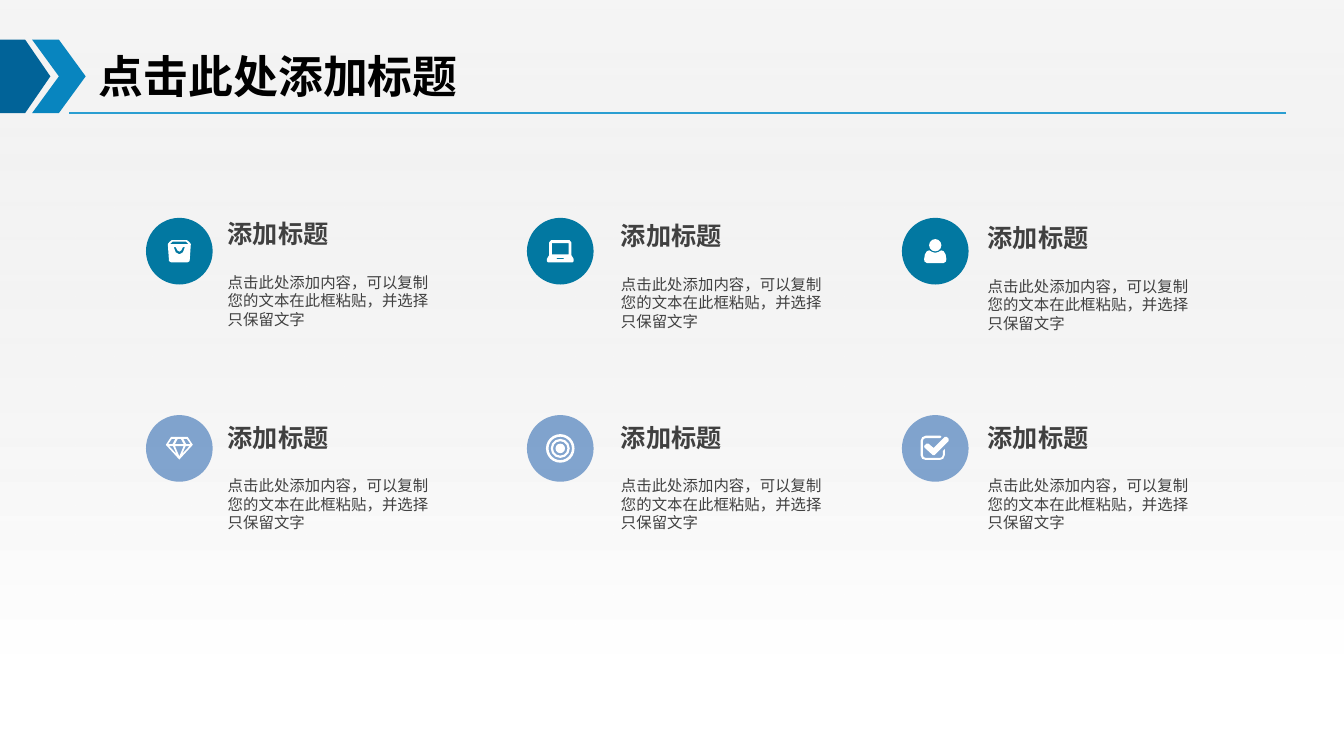
from lxml import etree
from pptx import Presentation
from pptx.dml.color import RGBColor
from pptx.enum.shapes import MSO_CONNECTOR, MSO_SHAPE
from pptx.enum.text import MSO_ANCHOR, MSO_AUTO_SIZE, PP_ALIGN
from pptx.oxml.ns import qn
from pptx.util import Cm, Pt

FONT = "Noto Sans CJK SC"
COLORS = {
    "haze": "D9D9D9", "white": "FFFFFF", "rule": "2A9ED1", "plate": "016398",
    "chevron": "0885BF", "teal": "0278A1", "blue": "4F81BD",
    "text": "404040", "title": "000000",
}
HEADING = "添加标题"
DETAIL = "点击此处添加内容，可以复制您的文本在此框粘贴，并选择只保留文字"
DISC = Cm(1.68)

BAG = [
    [(-29, -18), (-25, -23), (-19, -28), (19, -28), (25, -23), (29, -18),
     (26, 25), (21, 28), (-21, 28), (-26, 25)],
    [(-23, -18), (-17, -24), (17, -24), (23, -18)],
    [(-14, -10), (-9, -10), (-5, -2), (0, 1), (5, -2), (9, -10), (14, -10),
     (9, 3), (0, 8), (-9, 3)],
]
LAPTOP = [
    [(-34, 20), (-28, 10), (-28, -22), (-23, -28), (23, -28), (28, -22),
     (28, 10), (34, 20), (34, 25), (31, 28), (-31, 28), (-34, 25)],
    [(-21, -20), (21, -20), (21, 8), (-21, 8)],
    [(-10, 20), (-8, 17), (8, 17), (10, 20)],
]
SHOULDERS = [
    [(-21, 30), (-27, 26), (-28, 20), (-26, 8), (-21, 0), (-15, -2), (-8, 2),
     (0, 4), (8, 2), (15, -2), (21, 0), (26, 8), (28, 20), (27, 26), (21, 30)],
]
DIAMOND = [
    [(-34, -9), (-21, -29), (21, -29), (34, -9), (0, 28)],
    [(17, -11), (10, -24), (19, -24), (28, -11)],
    [(-17, -11), (-10, -24), (-19, -24), (-28, -11)],
    [(-11, -11), (-4, -24), (4, -24), (11, -11)],
    [(7, 14), (16, -6), (26, -6)],
    [(-7, 14), (-16, -6), (-26, -6)],
    [(0, 20), (-11, -6), (11, -6)],
]
TICK = [
    [(24, -29), (-4, -1), (-17, -12), (-22, -12), (-28, -6), (-27, -2),
     (-6, 17), (-2, 17), (34, -19), (34, -24), (29, -29)],
]
FRAME = [
    [(-24, -32), (13, -32), (16, -29), (12, -26), (-24, -26), (-29, -24),
     (-31, -19), (-31, 17), (-29, 22), (-24, 24), (12, 24), (17, 22),
     (19, 17), (19, 7), (24, 2), (24, 17), (20, 26), (12, 29), (-24, 29),
     (-33, 26), (-37, 17), (-37, -19), (-33, -28)],
]


def rgb(name):
    return RGBColor.from_string(COLORS[name])


def set_alpha(color, percent):
    etree.SubElement(color, qn("a:alpha")).set("val", str(percent * 1000))


def paint(shape, color):
    shape.shadow.inherit = False
    shape.fill.solid()
    shape.fill.fore_color.rgb = rgb(color)
    shape.line.fill.background()
    return shape


def add_preset(slide, kind, left, top, width, height, color):
    return paint(slide.shapes.add_shape(kind, left, top, width, height), color)


def add_round(slide, kind, center_x, center_y, size, color):
    return add_preset(slide, kind, center_x - size // 2, center_y - size // 2,
                      size, size, color)


def add_outline(slide, center_x, center_y, contours):
    first, *holes = contours
    builder = slide.shapes.build_freeform(*first[0], scale=Cm(0.01))
    builder.add_line_segments(first[1:])
    for hole in holes:
        builder.move_to(*hole[0])
        builder.add_line_segments(hole[1:])
    paint(builder.convert_to_shape(center_x, center_y), "white")


def draw_bag(slide, x, y):
    add_outline(slide, x, y, BAG)


def draw_laptop(slide, x, y):
    add_outline(slide, x, y, LAPTOP)


def draw_person(slide, x, y):
    add_round(slide, MSO_SHAPE.OVAL, x, y - Cm(0.15), Cm(0.31), "white")
    add_outline(slide, x, y, SHOULDERS)


def draw_diamond(slide, x, y):
    add_outline(slide, x, y, DIAMOND)


def draw_target(slide, x, y):
    for size, thickness in ((0.72, 0.09), (0.48, 0.12)):
        ring = add_round(slide, MSO_SHAPE.DONUT, x, y, Cm(size), "white")
        ring.adjustments[0] = thickness
    add_round(slide, MSO_SHAPE.OVAL, x, y, Cm(0.24), "white")


def draw_checkbox(slide, x, y):
    add_outline(slide, x, y, TICK)
    add_outline(slide, x, y, FRAME)


def add_text(slide, left, top, width, height, text, size, bold, anchor):
    frame = slide.shapes.add_textbox(left, top, width, height).text_frame
    frame.word_wrap = True
    frame.vertical_anchor = anchor
    frame.margin_left = frame.margin_right = 0
    frame.margin_top = frame.margin_bottom = 0
    frame.text = text
    style(frame.paragraphs[0], size, bold, "text")


def style(paragraph, size, bold, color):
    font = paragraph.font
    font.size, font.bold, font.name = Pt(size), bold, FONT
    font.color.rgb = rgb(color)
    for run in paragraph.runs:
        east_asian = etree.SubElement(run._r.get_or_add_rPr(), qn("a:ea"))
        east_asian.set("typeface", FONT)


def add_backdrop(slide, width, height):
    haze = add_preset(slide, MSO_SHAPE.RECTANGLE, 0, 0, width, height, "white")
    haze.fill.gradient()
    haze.fill.gradient_angle = 270
    stops = zip(haze.fill.gradient_stops, ("haze", "white"), (0, 1), (25, 84))
    for stop, color, position, opacity in stops:
        stop.color.rgb = rgb(color)
        stop.position = position
        set_alpha(stop._gs[0], opacity)


def add_header(slide, top, height):
    bottom = top + height
    rule = slide.shapes.add_connector(
        MSO_CONNECTOR.STRAIGHT, Cm(32.41), bottom, Cm(1.73), bottom)
    rule.line.color.rgb = rgb("rule")
    rule.line.width = Pt(1.5)
    etree.SubElement(rule._element.spPr, qn("a:effectLst"))
    add_preset(slide, MSO_SHAPE.PENTAGON, 0, top, Cm(1.27), height, "plate")
    add_preset(slide, MSO_SHAPE.CHEVRON, Cm(0.81), top, Cm(1.35), height, "chevron")

    title = slide.shapes.title
    slide.shapes._spTree.append(title._element)
    title.left, title.top = Cm(2.24), top + Cm(0.08)
    title.width, title.height = Cm(11.86), Cm(1.63)
    frame = title.text_frame
    frame.text = "点击此处添加标题"
    frame.auto_size = MSO_AUTO_SIZE.NONE
    frame.vertical_anchor = MSO_ANCHOR.MIDDLE
    frame.paragraphs[0].alignment = PP_ALIGN.LEFT
    style(frame.paragraphs[0], 32, True, "title")


def add_item(slide, left, top, text_left, text_top, color, opacity, draw_icon):
    disc = add_preset(slide, MSO_SHAPE.OVAL, left, top, DISC, DISC, color)
    if opacity < 100:
        set_alpha(disc.fill._xPr.find(qn("a:solidFill"))[0], opacity)
    draw_icon(slide, left + DISC // 2, top + DISC // 2)
    add_text(slide, text_left, text_top, Cm(3.58), Cm(0.86),
             HEADING, 18, True, MSO_ANCHOR.MIDDLE)
    add_text(slide, text_left, text_top + Cm(1.42), Cm(5.28), Cm(1.57),
             DETAIL, 11, False, MSO_ANCHOR.TOP)


def add_items(slide):
    columns = ((3.68, 5.74), (13.28, 15.65), (22.73, 24.89))
    rows = (
        (5.49, (5.46, 5.51, 5.56), "teal", 100, (draw_bag, draw_laptop, draw_person)),
        (10.46, (10.59,) * 3, "blue", 70, (draw_diamond, draw_target, draw_checkbox)),
    )
    for top, text_tops, color, opacity, icons in rows:
        for (left, text_left), text_top, icon in zip(columns, text_tops, icons):
            add_item(slide, Cm(left), Cm(top), Cm(text_left), Cm(text_top),
                     color, opacity, icon)


def main():
    presentation = Presentation()
    presentation.slide_width, presentation.slide_height = Cm(33.87), Cm(19.05)
    slide = presentation.slides.add_slide(presentation.slide_layouts[5])
    add_backdrop(slide, presentation.slide_width, Cm(16.46))
    add_header(slide, Cm(1), Cm(1.85))
    add_items(slide)
    presentation.save("out.pptx")


if __name__ == "__main__":
    main()
